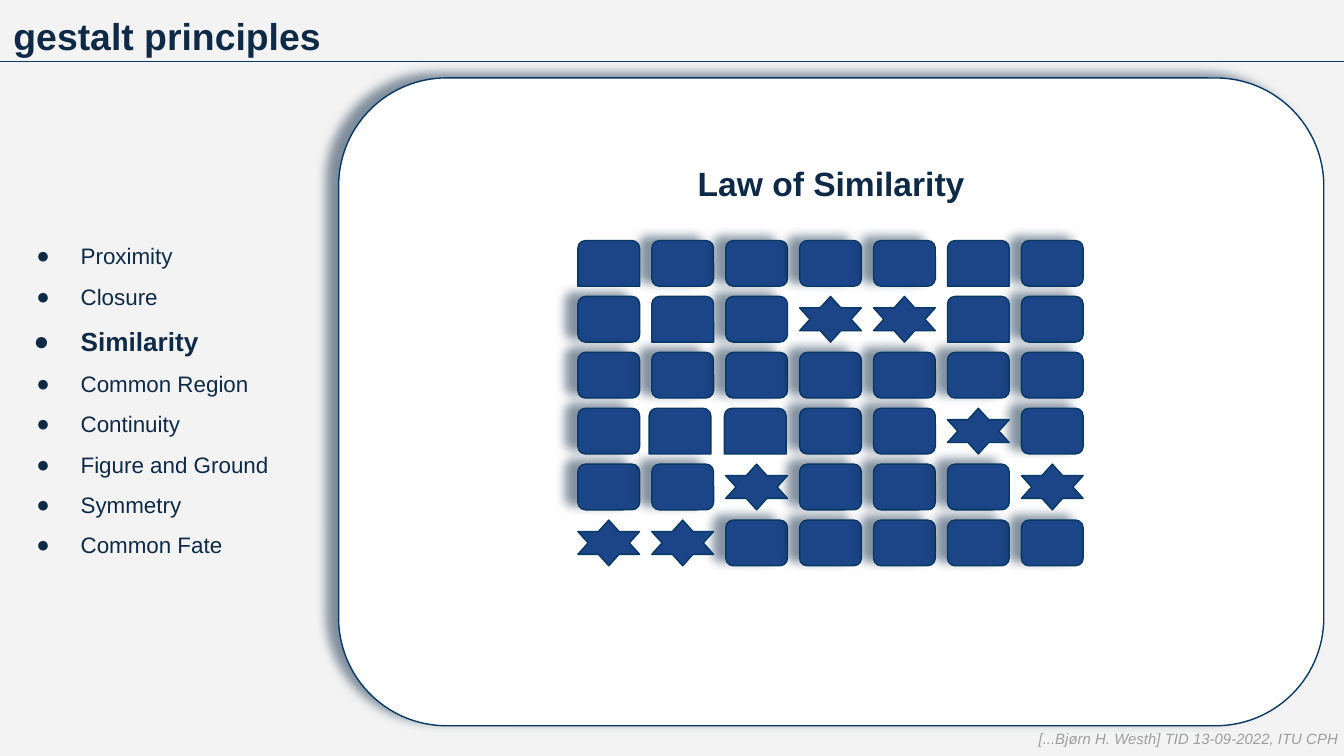
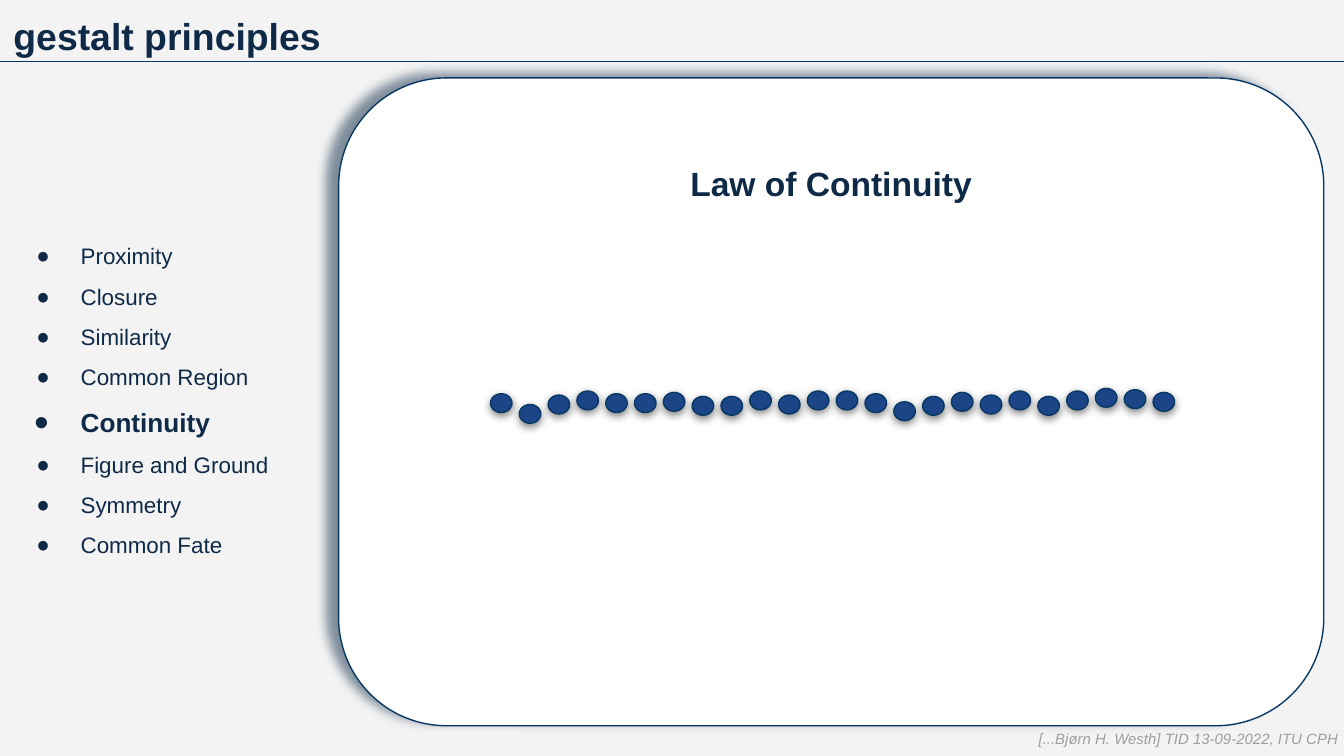
from dataclasses import dataclass
from typing import NamedTuple, Optional

from lxml import etree
from pptx import Presentation
from pptx import util as u
from pptx.dml.color import RGBColor
from pptx.enum import shapes, text
from pptx.oxml.ns import qn


@dataclass(frozen=True)
class Theme:
    font: str = "Arial"
    ink: str = "0E2A47"
    paper: str = "F3F3F3"
    panel: str = "FFFFFF"
    accent: str = "1C4587"
    outline: str = "073763"
    muted: str = "9E9E9E"
    line_width: float = 0.75
    title_size: int = 20
    heading_size: int = 18
    active_size: int = 14
    list_size: int = 12
    footer_size: int = 8


class Box(NamedTuple):
    left: float
    top: float
    width: float
    height: float

    def lengths(self) -> tuple:
        return tuple(u.Inches(value) for value in self)


class Shadow(NamedTuple):
    color: str
    opacity: int
    blur: float
    distance: float
    angle: int


class Tile(NamedTuple):
    preset: shapes.MSO_SHAPE
    shadow: Optional[Shadow]


THEME = Theme()
SIDE_SHADOW = Shadow(THEME.ink, 51, 5.6, 6.8, 199)
DROP_SHADOW = Shadow("000000", 50, 4.5, 1.5, 90)

SLIDE_WIDTH = 10
SLIDE_HEIGHT = SLIDE_WIDTH * 9 / 16
TITLE_BOX = Box(0, 0, SLIDE_WIDTH, 0.5)
LIST_BOX = Box(0, 0.5, 2.52, 4.86)
PANEL_BOX = Box(2.52, 0.58, 7.33, 4.82)
FOOTER_BOX = Box(7.63, 5.36, 2.47, 0.34)
RULE_TOP = 0.46

PRINCIPLES = ("Proximity", "Closure", "Similarity", "Common Region",
              "Continuity", "Figure and Ground", "Symmetry", "Common Fate")

TILES = {
    "R": Tile(shapes.MSO_SHAPE.ROUNDED_RECTANGLE, SIDE_SHADOW),
    "T": Tile(shapes.MSO_SHAPE.ROUND_2_SAME_RECTANGLE, None),
    "S": Tile(shapes.MSO_SHAPE.STAR_6_POINT, None),
}
TILE_ROWS = ("TRRRRTR", "RTRSSTR", "RRRRRRR", "RTTRRSR", "RRSRRRS", "SSRRRRR")
TILE_ORIGIN = Box(4.3, 1.79, 0.46, 0.34)
TILE_PITCH_X = 0.55
TILE_PITCH_Y = (3.87 - 1.79) / 5
TILE_NUDGES = {(3, 1): -0.02, (3, 2): -0.01}

DOT_TOPS = (2.93, 3.01, 2.94, 2.91, 2.93, 2.93, 2.92, 2.95, 2.95, 2.91, 2.94, 2.91,
            2.91, 2.93, 2.99, 2.95, 2.92, 2.94, 2.91, 2.95, 2.91, 2.89, 2.9, 2.92)
DOT_LEFT, DOT_LAST_LEFT = 3.65, 8.58


def rgb(color: str) -> RGBColor:
    return RGBColor.from_string(color)


def style_font(paragraph, size: float, color: str = THEME.ink,
               bold: bool = False, italic: bool = False) -> None:
    font = paragraph.font
    font.name = THEME.font
    font.size = u.Pt(size)
    font.bold = bold
    font.italic = italic
    font.color.rgb = rgb(color)


def prepare_frame(shape, anchor=text.MSO_ANCHOR.TOP, auto_size=text.MSO_AUTO_SIZE.NONE):
    frame = shape.text_frame
    frame.word_wrap = True
    frame.auto_size = auto_size
    frame.vertical_anchor = anchor
    frame.margin_left = frame.margin_right = u.Inches(0.1)
    frame.margin_top = frame.margin_bottom = u.Inches(0.1)
    return frame


def place(shape, box: Box) -> None:
    shape.left, shape.top, shape.width, shape.height = box.lengths()


def style_line(line) -> None:
    line.color.rgb = rgb(THEME.outline)
    line.width = u.Pt(THEME.line_width)


def cast_shadow(shape, shadow: Shadow) -> None:
    effects = shape._element.spPr.find(qn("a:effectLst"))
    outer = etree.SubElement(effects, qn("a:outerShdw"), {
        "blurRad": str(u.Pt(shadow.blur)), "dist": str(u.Pt(shadow.distance)),
        "dir": str(shadow.angle * 60000), "algn": "bl", "rotWithShape": "0"})
    color = etree.SubElement(outer, qn("a:srgbClr"), val=shadow.color)
    etree.SubElement(color, qn("a:alpha"), val=str(shadow.opacity * 1000))


def draw_shape(slide, preset, box: Box, fill: str, shadow: Optional[Shadow] = None):
    shape = slide.shapes.add_shape(preset, *box.lengths())
    shape.fill.solid()
    shape.fill.fore_color.rgb = rgb(fill)
    style_line(shape.line)
    shape.shadow.inherit = False
    if shadow:
        cast_shadow(shape, shadow)
    return shape


def add_bullet(paragraph, hanging: float) -> None:
    properties = paragraph._p.get_or_add_pPr()
    properties.set("marL", str(u.Inches(0.5)))
    properties.set("indent", str(u.Inches(-hanging)))
    color = etree.SubElement(properties, qn("a:buClr"))
    etree.SubElement(color, qn("a:srgbClr"), val=THEME.ink)
    etree.SubElement(properties, qn("a:buFont"), typeface=THEME.font)
    etree.SubElement(properties, qn("a:buChar"), char="●")


def draw_title(slide) -> None:
    title = slide.shapes.title
    place(title, TITLE_BOX)
    paragraph = prepare_frame(title).paragraphs[0]
    paragraph.text = "gestalt principles"
    paragraph.alignment = text.PP_ALIGN.LEFT
    style_font(paragraph, THEME.title_size, bold=True)


def draw_principles(slide, active: str) -> None:
    body = slide.placeholders[1]
    place(body, LIST_BOX)
    body.fill.solid()
    body.fill.fore_color.rgb = rgb(THEME.paper)
    frame = prepare_frame(body, text.MSO_ANCHOR.MIDDLE)
    for index, principle in enumerate(PRINCIPLES):
        paragraph = frame.add_paragraph() if index else frame.paragraphs[0]
        paragraph.text = principle
        is_active = principle == active
        add_bullet(paragraph, 0.35 if is_active else 0.33)
        paragraph.line_spacing = 1.5
        paragraph.space_before = u.Pt(0)
        size = THEME.active_size if is_active else THEME.list_size
        style_font(paragraph, size, bold=is_active)


def draw_panel(slide, principle: str) -> None:
    panel = draw_shape(slide, shapes.MSO_SHAPE.ROUNDED_RECTANGLE, PANEL_BOX,
                       THEME.panel, SIDE_SHADOW)
    paragraph = prepare_frame(panel).paragraphs[0]
    paragraph.text = f"Law of {principle}"
    paragraph.alignment = text.PP_ALIGN.CENTER
    paragraph.line_spacing = 2.0
    style_font(paragraph, THEME.heading_size, bold=True)


def draw_rule(slide) -> None:
    rule = slide.shapes.add_connector(
        shapes.MSO_CONNECTOR.STRAIGHT, u.Inches(0), u.Inches(RULE_TOP),
        u.Inches(SLIDE_WIDTH), u.Inches(RULE_TOP))
    style_line(rule.line)
    etree.SubElement(rule._element.spPr, qn("a:effectLst"))


def draw_footer(slide) -> None:
    footer = slide.shapes.add_textbox(*FOOTER_BOX.lengths())
    frame = prepare_frame(footer, auto_size=text.MSO_AUTO_SIZE.SHAPE_TO_FIT_TEXT)
    paragraph = frame.paragraphs[0]
    paragraph.text = "[...Bjørn H. Westh] TID 13-09-2022, ITU CPH"
    style_font(paragraph, THEME.footer_size, THEME.muted, italic=True)


def draw_similarity(slide) -> None:
    cells = [(row, column) for column in range(len(TILE_ROWS[0]))
             for row in range(len(TILE_ROWS))]
    cells.sort(key=lambda cell: TILES[TILE_ROWS[cell[0]][cell[1]]].shadow is None)
    for row, column in cells:
        tile = TILES[TILE_ROWS[row][column]]
        left = TILE_ORIGIN.left + column * TILE_PITCH_X + TILE_NUDGES.get((row, column), 0)
        top = TILE_ORIGIN.top + row * TILE_PITCH_Y
        draw_shape(slide, tile.preset, TILE_ORIGIN._replace(left=left, top=top),
                   THEME.accent, tile.shadow)


def draw_continuity(slide) -> None:
    pitch = (DOT_LAST_LEFT - DOT_LEFT) / (len(DOT_TOPS) - 1)
    for index, top in enumerate(DOT_TOPS):
        draw_shape(slide, shapes.MSO_SHAPE.FLOWCHART_CONNECTOR,
                   Box(DOT_LEFT + index * pitch, top, 0.16, 0.14),
                   THEME.accent, DROP_SHADOW)


def add_principle_slide(presentation, principle: str, draw_example) -> None:
    slide = presentation.slides.add_slide(presentation.slide_layouts[1])
    slide.background.fill.solid()
    slide.background.fill.fore_color.rgb = rgb(THEME.paper)
    draw_title(slide)
    draw_principles(slide, principle)
    draw_panel(slide, principle)
    draw_rule(slide)
    draw_example(slide)
    draw_footer(slide)


def main() -> None:
    presentation = Presentation()
    presentation.slide_width = u.Inches(SLIDE_WIDTH)
    presentation.slide_height = u.Inches(SLIDE_HEIGHT)
    add_principle_slide(presentation, "Similarity", draw_similarity)
    add_principle_slide(presentation, "Continuity", draw_continuity)
    presentation.save("out.pptx")


if __name__ == "__main__":
    main()
